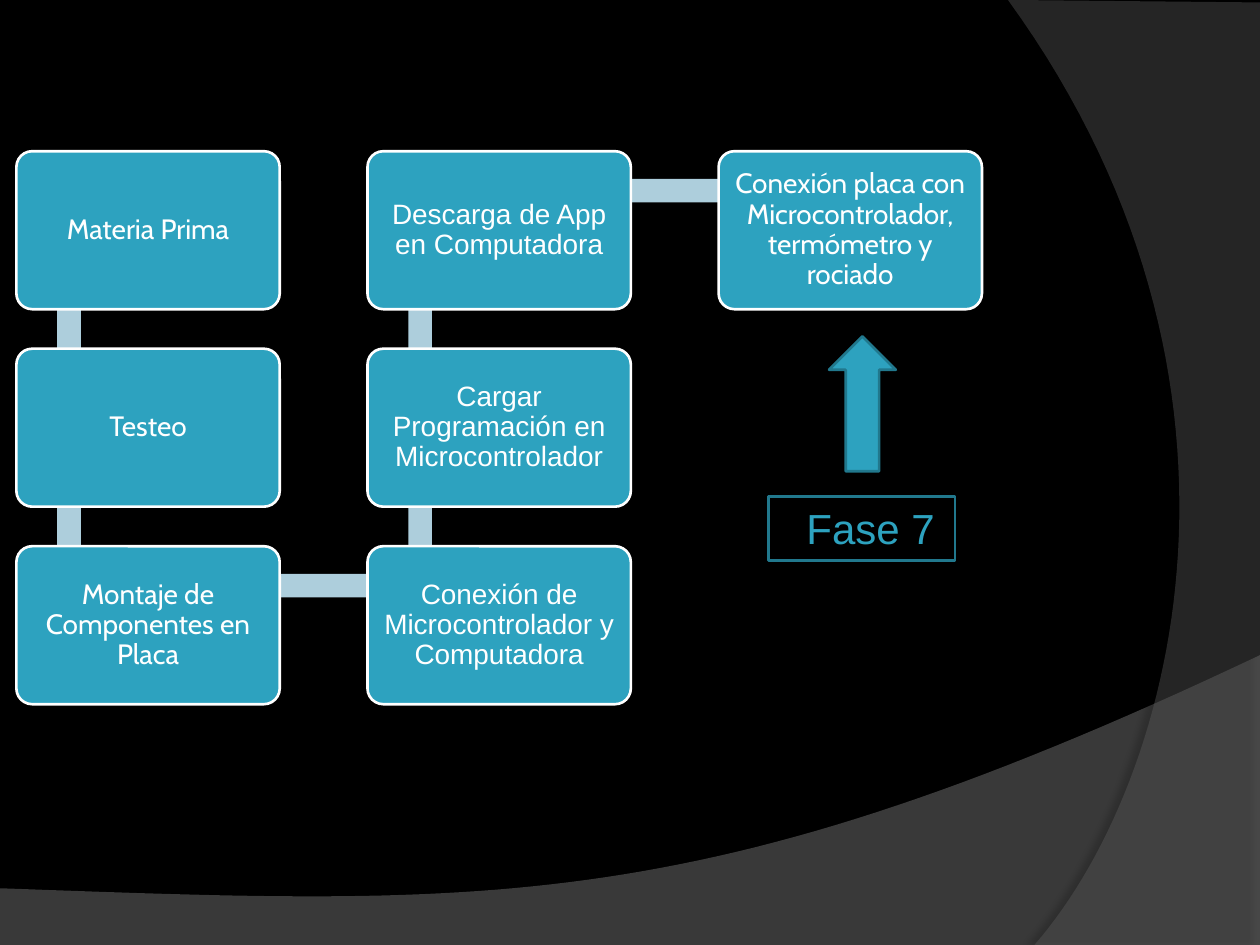
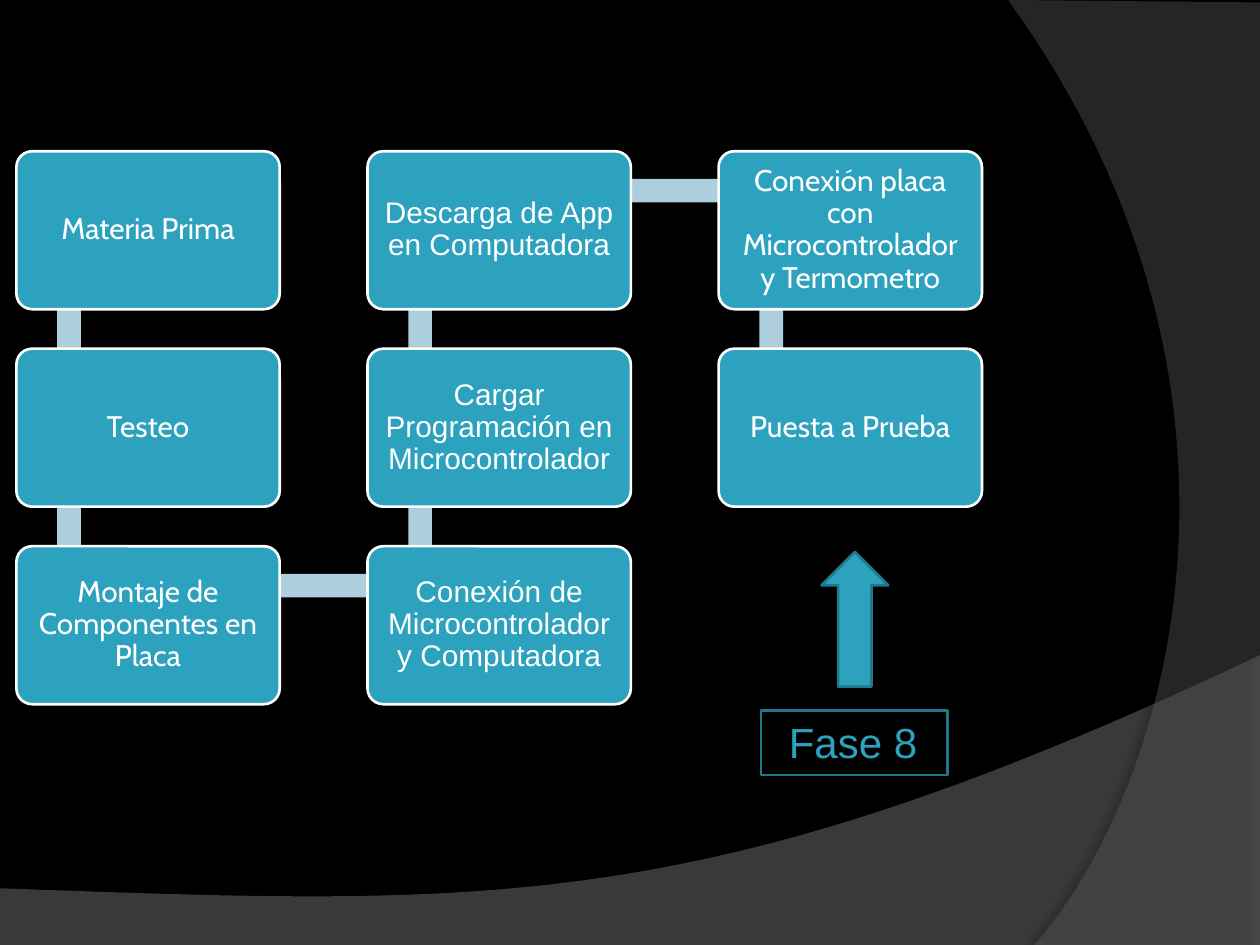
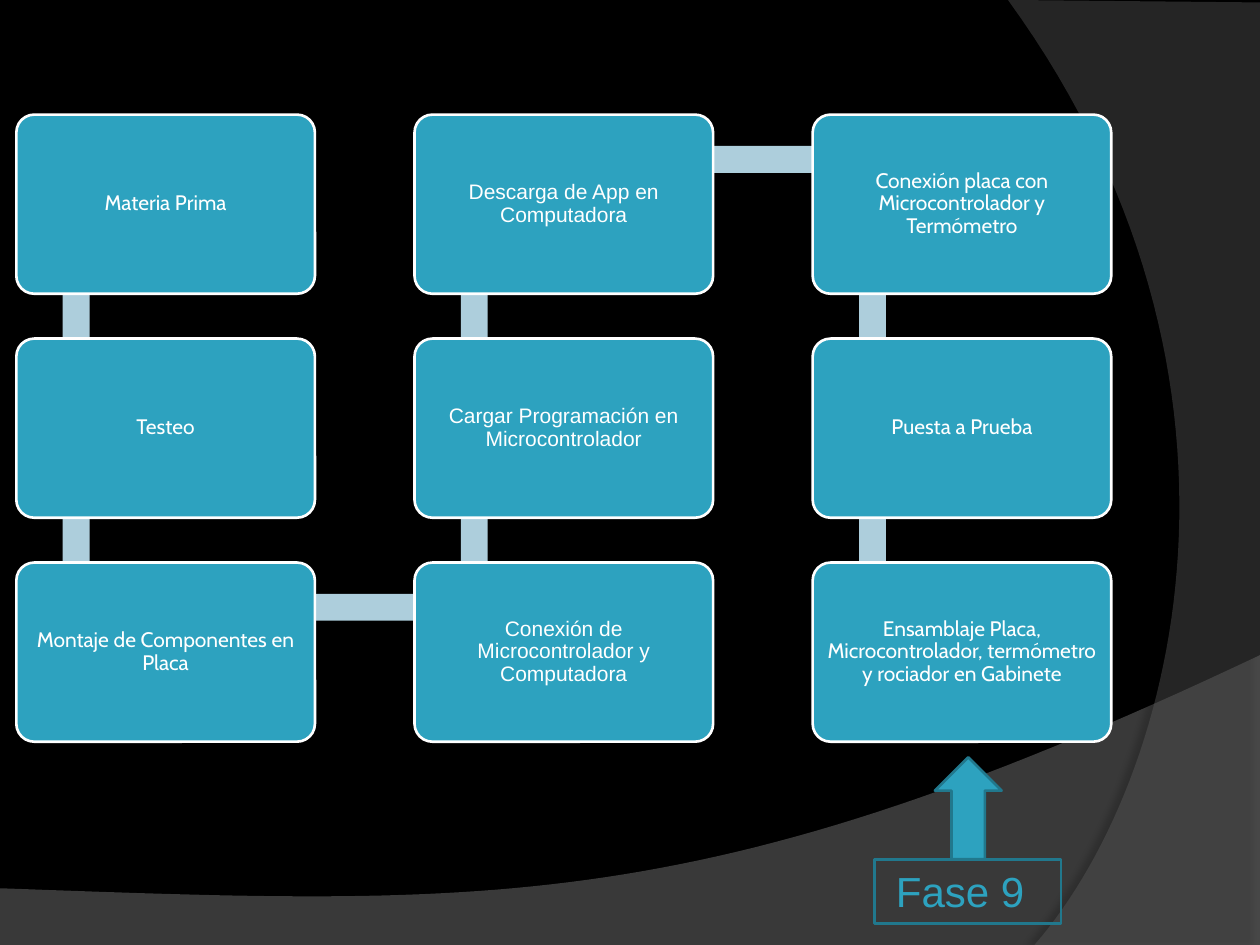
"""Builds three slides that follow an assembly process phase by phase."""
from math import atan2, degrees, hypot

from lxml import etree
from pptx import Presentation
from pptx.dml.color import RGBColor
from pptx.enum.shapes import MSO_SHAPE
from pptx.enum.text import MSO_ANCHOR, PP_ALIGN
from pptx.oxml.ns import qn
from pptx.util import Inches, Pt

RECTANGLE = MSO_SHAPE.RECTANGLE
ROUNDED = MSO_SHAPE.ROUNDED_RECTANGLE
UP_ARROW = MSO_SHAPE.UP_ARROW
MIDDLE, TOP = MSO_ANCHOR.MIDDLE, MSO_ANCHOR.TOP
CENTER, LEFT = PP_ALIGN.CENTER, PP_ALIGN.LEFT

BLACK = RGBColor(0x00, 0x00, 0x00)
WHITE = RGBColor(0xFF, 0xFF, 0xFF)
TEAL = RGBColor(0x2D, 0xA2, 0xBF)
DARK_TEAL = RGBColor(0x21, 0x78, 0x8D)
PALE_BLUE = RGBColor(0xAD, 0xCE, 0xDC)
HILL_GRAY = RGBColor(0x7F, 0x7F, 0x7F)
SIDE_GRAY = RGBColor(0x5E, 0x5E, 0x5E)

ROWS = 3
FIRST_STEPS = [
    "Materia Prima",
    "Testeo",
    "Montaje de Componentes en Placa",
    "Conexión de Microcontrolador y Computadora",
    "Cargar Programación en Microcontrolador",
    "Descarga de App en Computadora",
]
PHASES = [
    {
        "last_steps": ["Conexión placa con Microcontrolador, termómetro y rociado"],
        "grid": {"top": 1.2, "width": 2.09, "size": 16, "inset": 0.07},
        "marker": {"label": "Fase 7", "left": 6.1, "top": 3.94, "indent": 0.3,
                   "arrow_top": 2.67, "arrow_height": 1.07},
    },
    {
        "last_steps": ["Conexión placa con Microcontrolador y Termometro",
                       "Puesta a Prueba"],
        "grid": {"top": 1.2, "width": 2.09, "size": 17, "inset": 0.07},
        "marker": {"label": "Fase 8", "left": 6.04, "top": 5.64, "indent": 0.22,
                   "arrow_top": 4.38, "arrow_height": 1.07},
    },
    {
        "last_steps": ["Conexión placa con Microcontrolador y Termómetro",
                       "Puesta a Prueba",
                       "Ensamblaje Placa, Microcontrolador, termómetro y rociador en Gabinete"],
        "grid": {"top": 0.91, "width": 2.37, "size": 12, "inset": 0.05},
        "marker": {"label": "Fase 9", "left": 6.94, "top": 6.82, "indent": 0.17,
                   "arrow_top": 6.01, "arrow_height": 0.81},
    },
]


def curve(start, control_1, control_2, end, steps=60):
    """Return points along a cubic Bézier curve."""
    points = []
    for step in range(steps + 1):
        t = step / steps
        weights = ((1 - t) ** 3, 3 * t * (1 - t) ** 2, 3 * t ** 2 * (1 - t), t ** 3)
        corners = (start, control_1, control_2, end)
        points.append(tuple(sum(weight * corner[axis] for weight, corner in zip(weights, corners))
                            for axis in (0, 1)))
    return points


HILL = [(0, 7.5), (10, 7.5)] + curve((10, 5.2), (5.59, 7.29), (3.91, 7.19), (0, 7.05))
SIDE = [(10, 0.02), (10, 7.5)] + curve((8.21, 7.5), (9.35, 6.19), (10.18, 3), (8, 0))


class ProcessDeck:
    """Holds the deck style and the current slide."""

    def __init__(self):
        """Start a deck with a black background."""
        self.deck = Presentation()
        self.deck.slide_width, self.deck.slide_height = Inches(10), Inches(7.5)
        background = self.deck.slide_master.background.fill
        background.solid()
        background.fore_color.rgb = BLACK
        self.page = None

    def add_page(self):
        """Add a slide with the two gray waves."""
        self.page = self.deck.slides.add_slide(self.deck.slide_layouts[6])
        self.wave(HILL, HILL_GRAY, 45, shadow_alpha=35, distance=3.5, direction=270)
        self.wave(SIDE, SIDE_GRAY, 40, shadow_alpha=45, distance=4, direction=180)

    def paint(self, shape, fill=None, line=None):
        """Set fill and outline, without shadow."""
        shape.shadow.inherit = False
        if fill is None:
            shape.fill.background()
        else:
            shape.fill.solid()
            shape.fill.fore_color.rgb = fill
        if line is None:
            shape.line.fill.background()
        else:
            shape.line.color.rgb = line
            shape.line.width = Pt(1.5)

    def wave(self, points, color, alpha, shadow_alpha, distance, direction):
        """Draw a translucent outline with a soft shadow."""
        first, *others = [(Inches(x), Inches(y)) for x, y in points]
        builder = self.page.shapes.build_freeform(*first)
        builder.add_line_segments(others)
        shape = builder.convert_to_shape()
        self.paint(shape, color)
        properties = shape.element.spPr
        fill_color = properties.find(qn("a:solidFill")).find(qn("a:srgbClr"))
        etree.SubElement(fill_color, qn("a:alpha"), val=str(alpha * 1000))
        shadow = etree.SubElement(
            properties.find(qn("a:effectLst")), qn("a:outerShdw"), blurRad=str(Pt(4)),
            dist=str(Pt(distance)), dir=str(direction * 60000), rotWithShape="0")
        shadow_color = etree.SubElement(shadow, qn("a:srgbClr"), val=str(BLACK))
        etree.SubElement(shadow_color, qn("a:alpha"), val=str(shadow_alpha * 1000))

    def box(self, kind, left, top, width, height, fill=None, line=None):
        """Draw a preset shape."""
        shape = self.page.shapes.add_shape(
            kind, Inches(left), Inches(top), Inches(width), Inches(height))
        self.paint(shape, fill, line)
        return shape

    def label(self, shape, text, font, size, color, insets, anchor=MIDDLE, align=CENTER):
        """Put one paragraph in a shape; insets run left, top, right, bottom."""
        frame = shape.text_frame
        frame.word_wrap = True
        frame.vertical_anchor = anchor
        frame.margin_left, frame.margin_top, frame.margin_right, frame.margin_bottom = map(
            Inches, insets)
        paragraph = frame.paragraphs[0]
        paragraph.text = text
        paragraph.alignment = align
        paragraph.font.name = font
        paragraph.font.size = Pt(size)
        paragraph.font.color.rgb = color
        return paragraph

    def bar(self, start, end, thickness):
        """Draw a bar between two points."""
        across, down = end[0] - start[0], end[1] - start[1]
        length = hypot(across, down)
        bar = self.box(RECTANGLE, (start[0] + end[0] - length) / 2,
                       (start[1] + end[1] - thickness) / 2, length, thickness, PALE_BLUE)
        bar.rotation = degrees(atan2(down, across)) % 360

    def card(self, text, left, top, width, height, font, size, inset):
        """Draw one step of the process."""
        shape = self.box(ROUNDED, left, top, width, height, TEAL, WHITE)
        shape.adjustments[0] = 0.1
        paragraph = self.label(shape, text, font, size, WHITE, [inset] * 4)
        paragraph.line_spacing = 0.9

    def grid(self, steps, top, width, size, inset):
        """Lay the steps in columns that run down, up and down, joined by bars."""
        height = 0.6 * width
        places = []
        for index in range(len(steps)):
            column, row = divmod(index, ROWS)
            if column % 2:
                row = ROWS - 1 - row
            places.append((0.13 + column * width * 4 / 3, top + row * height * 1.25))
        joints = [(x + 0.2 * width, y + 0.25 * height) for x, y in places]
        for index, (text, place) in enumerate(zip(steps, places)):
            if index + 1 < len(steps):
                self.bar(joints[index], joints[index + 1], 0.15 * height)
            font = "Arial" if index // ROWS == 1 else "Cabin"
            self.card(text, *place, width, height, font, size, inset)

    def marker(self, label, left, top, indent, arrow_top, arrow_height):
        """Draw the framed phase label and its arrow."""
        self.box(UP_ARROW, left + 0.48, arrow_top, 0.53, arrow_height, TEAL, DARK_TEAL)
        frame = self.box(RECTANGLE, left, top, 1.48, 0.51, line=DARK_TEAL)
        self.label(frame, label, "Arial", 24, TEAL, (indent, 0.05, 0, 0.05), TOP, LEFT)


def main():
    """Build and save the deck."""
    process = ProcessDeck()
    for phase in PHASES:
        process.add_page()
        process.grid(FIRST_STEPS + phase["last_steps"], **phase["grid"])
        process.marker(**phase["marker"])
    process.deck.save("out.pptx")


if __name__ == "__main__":
    main()
